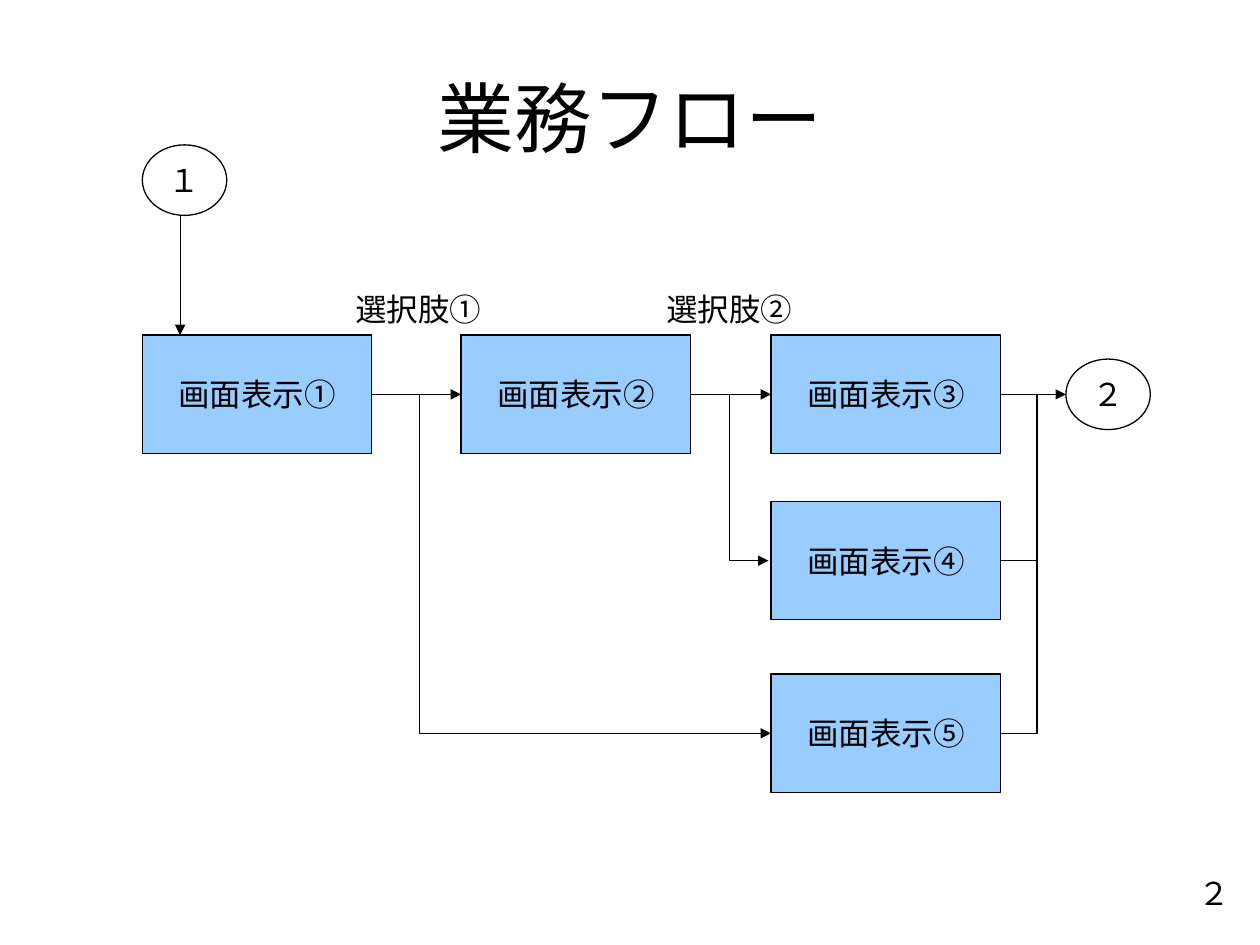
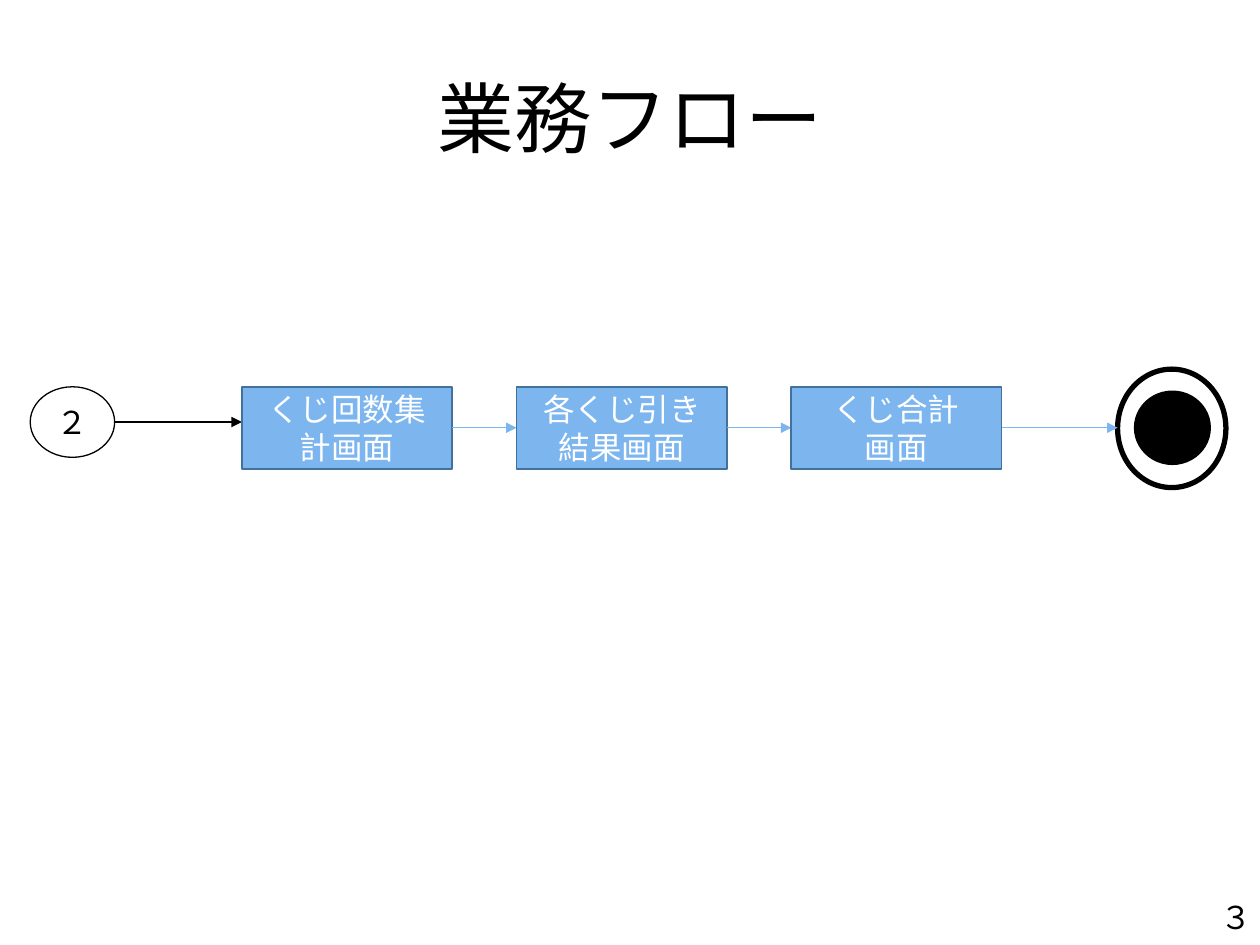
from pptx import Presentation
from pptx.dml.color import RGBColor
from pptx.enum.shapes import MSO_CONNECTOR as LINK, MSO_SHAPE as SHAPE
from pptx.enum.text import MSO_ANCHOR as ANCHOR, MSO_AUTO_SIZE as FIT, PP_ALIGN as ALIGN
from pptx.oxml.ns import qn
from pptx.util import Inches, Pt
from lxml.etree import SubElement

BLACK, WHITE = "000000", "FFFFFF"
SCREEN_BLUE, RESULT_BLUE, RESULT_EDGE = "99CCFF", "7DB6EF", "42719B"
LATIN, JAPANESE = "Arial", "Noto Sans CJK JP"
TITLE = "業務フロー"

# Screen flow grid
COLUMNS, ROWS = (1.13, 3.66, 6.12), (2.66, 3.98, 5.35)
SCREEN_W, SCREEN_H = 1.82, 0.94
MARK_W, MARK_H = 0.67, 0.56
# Result flow grid
RESULT_LEFT, RESULT_TOP, RESULT_PITCH = 1.92, 3.07, 2.18
RESULT_W, RESULT_H = 1.67, 0.65


def inches(*lengths):
    return [Inches(length) for length in lengths]


def color(hex_string):
    return RGBColor.from_string(hex_string)


def write(frame, lines, size=18, ink=BLACK, font=LATIN, align=ALIGN.CENTER):
    for index, line in enumerate(lines):
        paragraph = frame.add_paragraph() if index else frame.paragraphs[0]
        paragraph.alignment = align
        run = paragraph.add_run()
        run.text = line
        run.font.name, run.font.size = font, Pt(size)
        run.font.color.rgb = color(ink)
        SubElement(run._r.get_or_add_rPr(), qn("a:ea")).set("typeface", JAPANESE)


def set_margins(frame, side, top):
    frame.margin_left = frame.margin_right = Inches(side)
    frame.margin_top = frame.margin_bottom = Inches(top)


def add_node(shapes, kind, box, fill, edge=BLACK, weight=0.75):
    node = shapes.add_shape(kind, *inches(*box))
    node.shadow.inherit = False
    node.fill.solid()
    node.fill.fore_color.rgb = color(fill)
    node.line.color.rgb = color(edge)
    node.line.width = Pt(weight)
    node.text_frame.vertical_anchor = ANCHOR.MIDDLE
    return node


def add_screen(slide, label, column, row):
    box = COLUMNS[column], ROWS[row], SCREEN_W, SCREEN_H
    frame = add_node(slide.shapes, SHAPE.RECTANGLE, box, SCREEN_BLUE).text_frame
    set_margins(frame, 0.03, 0.02)
    write(frame, [label])


def add_result(slide, lines, left):
    box = left, RESULT_TOP, RESULT_W, RESULT_H
    node = add_node(slide.shapes, SHAPE.RECTANGLE, box, RESULT_BLUE, RESULT_EDGE, 1)
    write(node.text_frame, lines, ink=WHITE, font=JAPANESE)


def add_page_link(slide, number, left, top):
    """Circle that carries the flow over from or to another slide."""
    box = left, top, MARK_W, MARK_H
    frame = add_node(slide.shapes, SHAPE.OVAL, box, WHITE).text_frame
    frame.word_wrap = False
    write(frame, [number])


def add_end_mark(slide):
    shapes = slide.shapes.add_group_shape().shapes
    for box, fill in (((8.87, 2.93, 0.86, 0.94), WHITE), ((9.02, 3.12, 0.57, 0.55), BLACK)):
        add_node(shapes, SHAPE.FLOWCHART_CONNECTOR, box, fill, weight=3)


def add_label(slide, text, left, top, width):
    frame = slide.shapes.add_textbox(*inches(left, top, width, 0.4)).text_frame
    frame.word_wrap = False
    frame.auto_size = FIT.SHAPE_TO_FIT_TEXT
    write(frame, [text], align=ALIGN.LEFT)


def add_link(slide, start, end, bend=None, arrow=True, ink=BLACK, weight=0.75):
    """Join two points; bend is the share of the width where an elbow turns."""
    kind = LINK.STRAIGHT if bend is None else LINK.ELBOW
    link = slide.shapes.add_connector(kind, *inches(*start, *end))
    link.line.color.rgb = color(ink)
    link.line.width = Pt(weight)
    properties = link._element.spPr
    if bend is not None:
        guides = properties.find(qn("a:prstGeom")).get_or_add_avLst()
        guide = SubElement(guides, qn("a:gd"))
        guide.set("name", "adj1")
        guide.set("fmla", f"val {round(bend * 100000)}")
    if arrow:
        SubElement(link.line._get_or_add_ln(), qn("a:tailEnd")).set("type", "triangle")
    SubElement(properties, qn("a:effectLst"))


def add_titled_slide(deck):
    slide = deck.slides.add_slide(deck.slide_layouts[5])
    title = slide.shapes.title
    title.left, title.top, title.width, title.height = inches(0.5, 0.3, 9, 1.25)
    title.text_frame.vertical_anchor = ANCHOR.MIDDLE
    write(title.text_frame, [TITLE], size=44)
    return slide


def build_screen_flow(deck):
    slide = add_titled_slide(deck)
    middle = [top + SCREEN_H / 2 for top in ROWS]
    right = [left + SCREEN_W for left in COLUMNS]
    exit_left, merge, branch, entry = 8.46, 8.23, 5.79, 1.43
    mark_top = 1.15

    add_page_link(slide, "１", COLUMNS[0], mark_top)
    add_page_link(slide, "２", exit_left, middle[0] - MARK_H / 2)
    for label, column, row in (("画面表示①", 0, 0), ("画面表示②", 1, 0), ("画面表示③", 2, 0),
                               ("画面表示④", 2, 1), ("画面表示⑤", 2, 2)):
        add_screen(slide, label, column, row)
    for label, left in (("選択肢①", 2.72), ("選択肢②", 5.19)):
        add_label(slide, label, left, 2.25, 1.2)

    add_link(slide, (entry, mark_top + MARK_H), (entry, ROWS[0]))
    for start, end in zip(right, (*COLUMNS[1:], exit_left)):
        add_link(slide, (start, middle[0]), (end, middle[0]))
    add_link(slide, (branch, middle[0]), (branch, middle[1]), arrow=False)
    add_link(slide, (branch, middle[1]), (COLUMNS[2] - 0.02, middle[1]))
    add_link(slide, (right[0], middle[0]), (COLUMNS[2], middle[2]), bend=0.12)
    add_link(slide, (right[2], middle[2]), (merge, middle[0]), bend=1, arrow=False)
    add_link(slide, (right[2], middle[1]), (merge, middle[1]), arrow=False)
    add_label(slide, "２", 9.41, 6.89, 0.45)


def build_result_flow(deck):
    slide = add_titled_slide(deck)
    mark_left, end_left = 0.24, 8.87
    mark_middle = RESULT_TOP + MARK_H / 2
    result_middle = RESULT_TOP + RESULT_H / 2
    results = (["くじ回数集計画面"], ["各くじ引き", "結果画面"], ["くじ合計", "画面"])
    lefts = [RESULT_LEFT + RESULT_PITCH * index for index in range(len(results))]

    add_page_link(slide, "２", mark_left, RESULT_TOP)
    add_link(slide, (mark_left + MARK_W, mark_middle), (RESULT_LEFT, mark_middle))
    add_end_mark(slide)
    for lines, left, target in zip(results, lefts, (*lefts[1:], end_left)):
        add_result(slide, lines, left)
        add_link(slide, (left + RESULT_W, result_middle), (target, result_middle),
                 ink=RESULT_BLUE, weight=0.5)
    add_label(slide, "３", 9.59, 7.08, 0.45)


def main():
    deck = Presentation()
    deck.slide_width, deck.slide_height = inches(10, 7.5)
    build_screen_flow(deck)
    build_result_flow(deck)
    deck.save("out.pptx")


if __name__ == "__main__":
    main()
